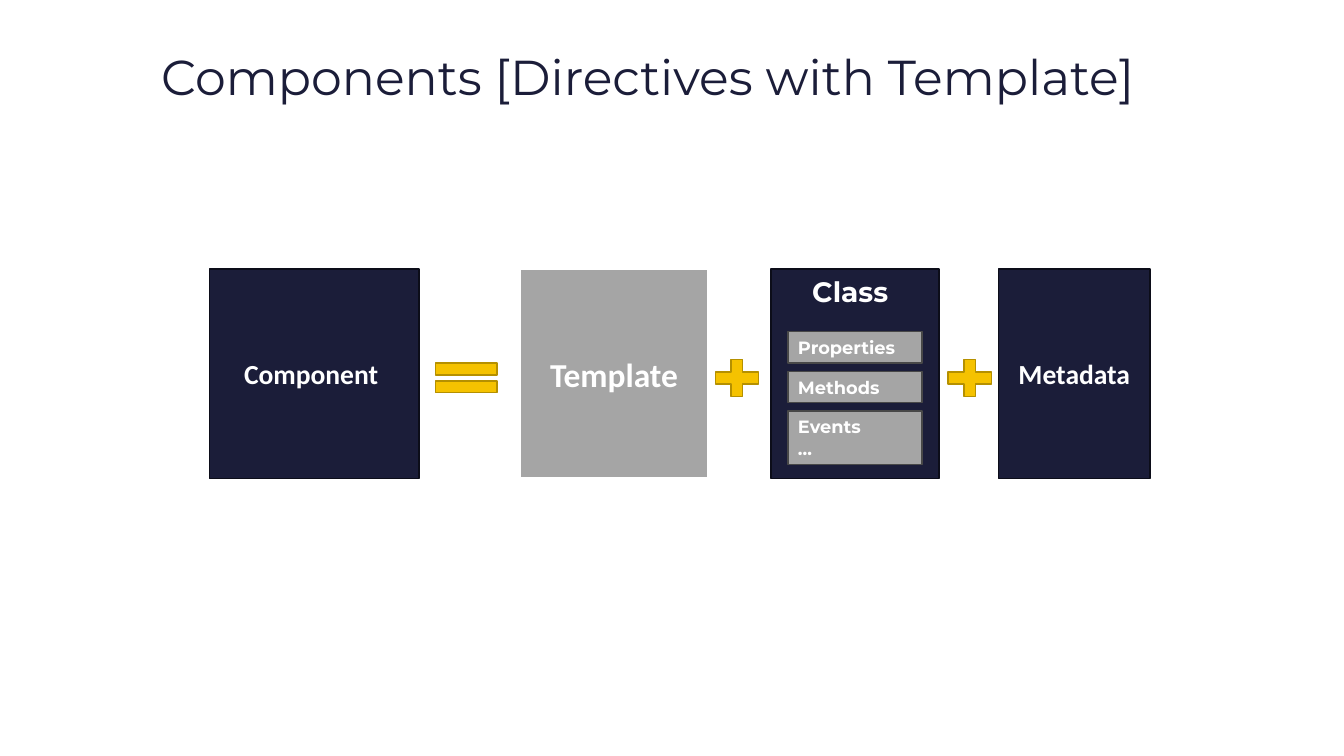
"""Build the slide showing a component as template plus class plus metadata."""
import pptx
import pptx.dml.color
import pptx.enum.shapes
import pptx.enum.text
import pptx.util

Cm = pptx.util.Cm
Pt = pptx.util.Pt
MSO = pptx.enum.shapes.MSO_SHAPE
ALIGN = pptx.enum.text.PP_ALIGN
ANCHOR = pptx.enum.text.MSO_ANCHOR
NAVY, GRAY, GOLD, WHITE = "1B1D39", "A5A5A5", "F5C200", "FFFFFF"


def rgb(value):
    return pptx.dml.color.RGBColor.from_string(value)


def write(sp, text, size, font, color=WHITE, bold=True,
          align=ALIGN.CENTER, anchor=ANCHOR.MIDDLE):
    tf = sp.text_frame
    tf.word_wrap = True
    tf.vertical_anchor = anchor
    for i, line in enumerate(text.split("\n")):
        p = tf.paragraphs[0] if i == 0 else tf.add_paragraph()
        p.alignment = align
        r = p.add_run()
        r.text = line
        for name, value in {"size": Pt(size), "name": font, "bold": bold}.items():
            setattr(r.font, name, value)
        r.font.color.rgb = rgb(color)


prs = pptx.Presentation()
prs.slide_width, prs.slide_height = Cm(33.87), Cm(19.05)
s = prs.slides.add_slide(prs.slide_layouts[6])

title = s.shapes.add_textbox(Cm(1.47), Cm(1.07), Cm(30.05), Cm(1.9))
write(title, "Components [Directives with Template] ", 35, "Montserrat", NAVY, False)
title.text_frame.paragraphs[0].line_spacing = 0.9

top, height = 6.78, 5.28
block = (MSO.RECTANGLE, top, height)
sign_top, sign_height = 8.89, 1.27
plus = (MSO.MATH_PLUS, sign_top, sign_height)
equal = (MSO.MATH_EQUAL, sign_top, sign_height)
navy, gray, gold = (NAVY, "0C0D19", 1), (GRAY, WHITE, 1.5), (GOLD, "B59000", 1)
member = (GRAY, "484848", 1)

parts = [
    (block, 5.28, 5.28, navy, "Component ", 19.7),
    (equal, 10.69, 2.12, gold, "", 0),
    (block, 13.1, 4.75, gray, "Template", 23.9),
    (plus, 17.83, 1.48, gold, "", 0),
    (block, 19.43, 4.24, navy, "", 0),
    (block, 25.17, 3.81, navy, "Metadata", 19.7),
    (plus, 23.7, 1.48, gold, "", 0),
]
for i, (text, h) in enumerate([("Properties", 0.79), ("Methods", 0.79), ("Events\n…", 1.35)]):
    parts.append(((MSO.RECTANGLE, 8.36 + i, h), 19.86, 3.38, member, text, 12.7))

for (kind, y, h), x, w, (fill, line, weight), text, size in parts:
    sp = s.shapes.add_shape(kind, Cm(x), Cm(y), Cm(w), Cm(h))
    sp.shadow.inherit = False
    sp.fill.solid()
    sp.fill.fore_color.rgb = rgb(fill)
    sp.line.color.rgb = rgb(line)
    sp.line.width = Pt(weight)
    if (fill, line, weight) == member:
        write(sp, text, size, "Montserrat", align=ALIGN.LEFT, anchor=ANCHOR.TOP)
    elif text:
        write(sp, text, size, "Calibri")

heading = s.shapes.add_textbox(Cm(20.22), Cm(top), Cm(2.67), Cm(1.12))
write(heading, "Class", 20, "Montserrat", align=ALIGN.LEFT, anchor=ANCHOR.TOP)

prs.save("out.pptx")
